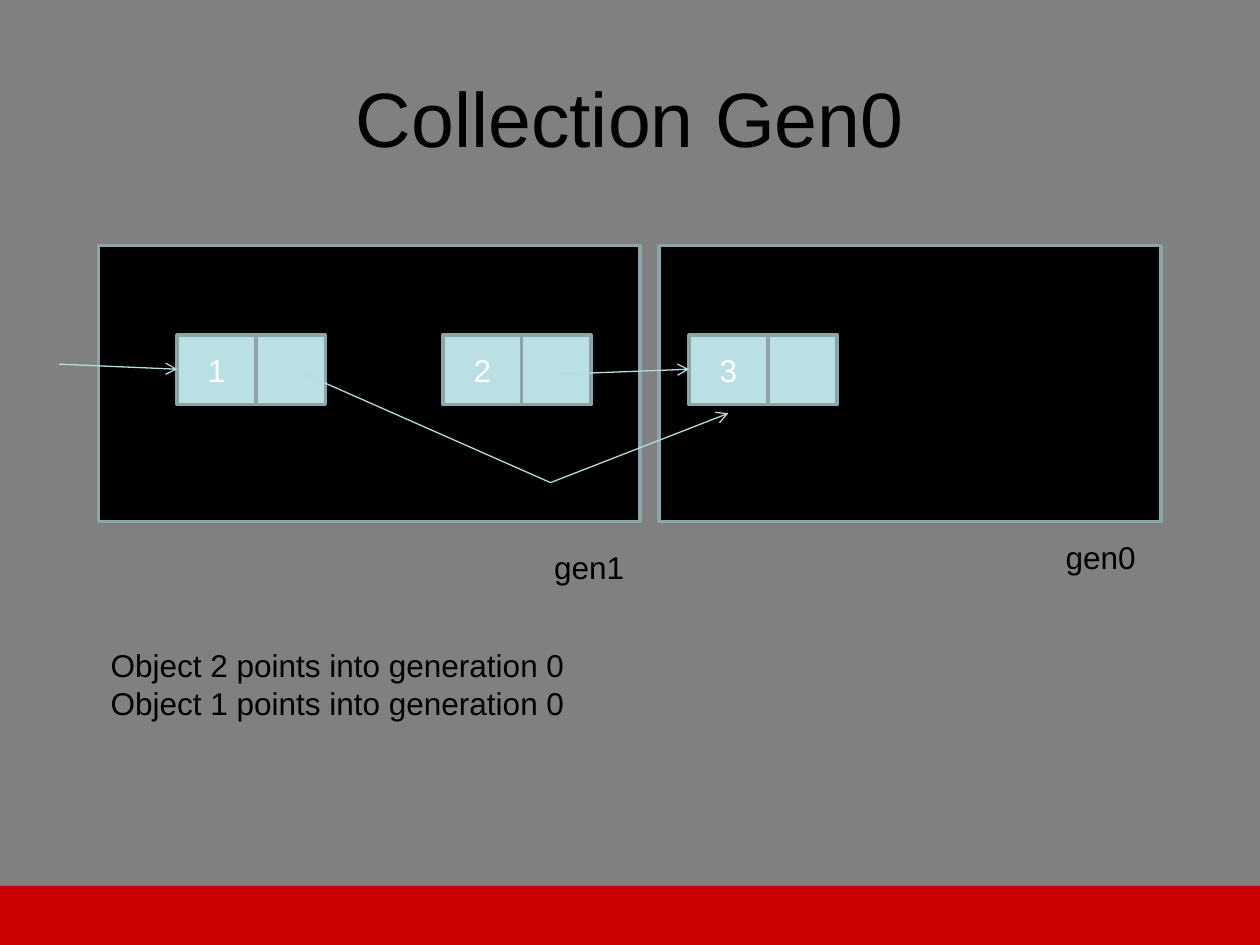
from dataclasses import dataclass

from lxml import etree
from pptx import Presentation
from pptx.dml.color import RGBColor
from pptx.enum.shapes import MSO_CONNECTOR, MSO_SHAPE
from pptx.enum.text import MSO_ANCHOR, MSO_AUTO_SIZE, PP_ALIGN
from pptx.oxml.ns import qn
from pptx.util import Pt

RECT = MSO_SHAPE.RECTANGLE
LINE = MSO_CONNECTOR.STRAIGHT
MIDDLE = MSO_ANCHOR.MIDDLE
LEFT, CENTER = PP_ALIGN.LEFT, PP_ALIGN.CENTER
GROW = MSO_AUTO_SIZE.SHAPE_TO_FIT_TEXT


@dataclass(frozen=True)
class Theme:
    back: str = "808080"
    ink: str = "000000"
    heap: str = "000000"
    cell: str = "BBE0E3"
    edge: str = "8AA6A8"
    arrow: str = "B6DCDF"
    digit: str = "FFFFFF"
    bar: str = "CC0001"
    font: str = "Arial"
    title: float = 44
    body: float = 18
    border: float = 2
    thin: float = 0.75


THEME = Theme()
CELL_TOP, CELL_H = 191.5, 39.6
DATA_W, LINK_W = 45, 39.6


def color(code):
    return RGBColor.from_string(code)


def write(frame, text, size, ink, align):
    frame.text = text
    for para in frame.paragraphs:
        para.alignment = align
        for run in para.runs:
            run.font.name = THEME.font
            run.font.size = Pt(size)
            run.font.color.rgb = color(ink)


def add_rect(shapes, left, top, width, height, fill, edge=None):
    box = shapes.add_shape(RECT, Pt(left), Pt(top), Pt(width), Pt(height))
    box.shadow.inherit = False
    box.fill.solid()
    box.fill.fore_color.rgb = color(fill)
    if edge:
        box.line.color.rgb = color(edge)
        box.line.width = Pt(THEME.border)
    else:
        box.line.fill.background()
    return box


def add_object(shapes, left, name):
    """Group a numbered data cell with the link cell to its right."""
    group = shapes.add_group_shape().shapes
    data = add_rect(group, left, CELL_TOP, DATA_W, CELL_H, THEME.cell, THEME.edge)
    add_rect(group, left + DATA_W, CELL_TOP, LINK_W, CELL_H, THEME.cell, THEME.edge)
    data.text_frame.vertical_anchor = MIDDLE
    write(data.text_frame, name, THEME.body, THEME.digit, CENTER)


def add_line(shapes, start, end, head=True):
    line = shapes.add_connector(LINE, *map(Pt, start + end))
    line.line.color.rgb = color(THEME.arrow)
    line.line.width = Pt(THEME.thin)
    if head:
        etree.SubElement(line.line._get_or_add_ln(), qn("a:tailEnd"), type="arrow")
    etree.SubElement(line._element.spPr, qn("a:effectLst"))


def add_title(shapes, text):
    frame = shapes.add_textbox(Pt(36), Pt(21.6), Pt(648), Pt(90)).text_frame
    frame.word_wrap = True
    frame.vertical_anchor = MIDDLE
    write(frame, text, THEME.title, THEME.ink, CENTER)


def add_label(shapes, left, top, width, height, text):
    frame = shapes.add_textbox(Pt(left), Pt(top), Pt(width), Pt(height)).text_frame
    frame.word_wrap = False
    frame.auto_size = GROW
    write(frame, text, THEME.body, THEME.ink, LEFT)


def main():
    deck = Presentation()
    deck.slide_width, deck.slide_height = Pt(720), Pt(540)
    slide = deck.slides.add_slide(deck.slide_layouts[6])
    slide.background.fill.solid()
    slide.background.fill.fore_color.rgb = color(THEME.back)
    shapes = slide.shapes

    add_title(shapes, "Collection Gen0")
    for left, width in ((376.6, 286.8), (56.2, 309.4)):
        add_rect(shapes, left, 140.4, width, 157.6, THEME.heap, THEME.edge)
    for left, name in ((101.3, "1"), (253.1, "2"), (393.8, "3")):
        add_object(shapes, left, name)

    add_line(shapes, (33.8, 208.1), (101.3, 211))
    add_line(shapes, (320.4, 213.8), (393.8, 211))

    add_label(shapes, 601.9, 303.8, 54.7, 28.8, "gen0")
    add_label(shapes, 309.6, 309.6, 54.7, 28.8, "gen1")
    add_label(shapes, 56.2, 365.8, 275.8, 51.1,
              "Object 2 points into generation 0\vObject 1 points into generation 0")

    bend = (314.6, 275.8)
    add_line(shapes, (174.2, 213.8), bend, head=False)
    add_line(shapes, bend, (416.2, 236.2))
    add_rect(shapes, 0, 506.2, 720, 33.8, THEME.bar)
    deck.save("out.pptx")


if __name__ == "__main__":
    main()
